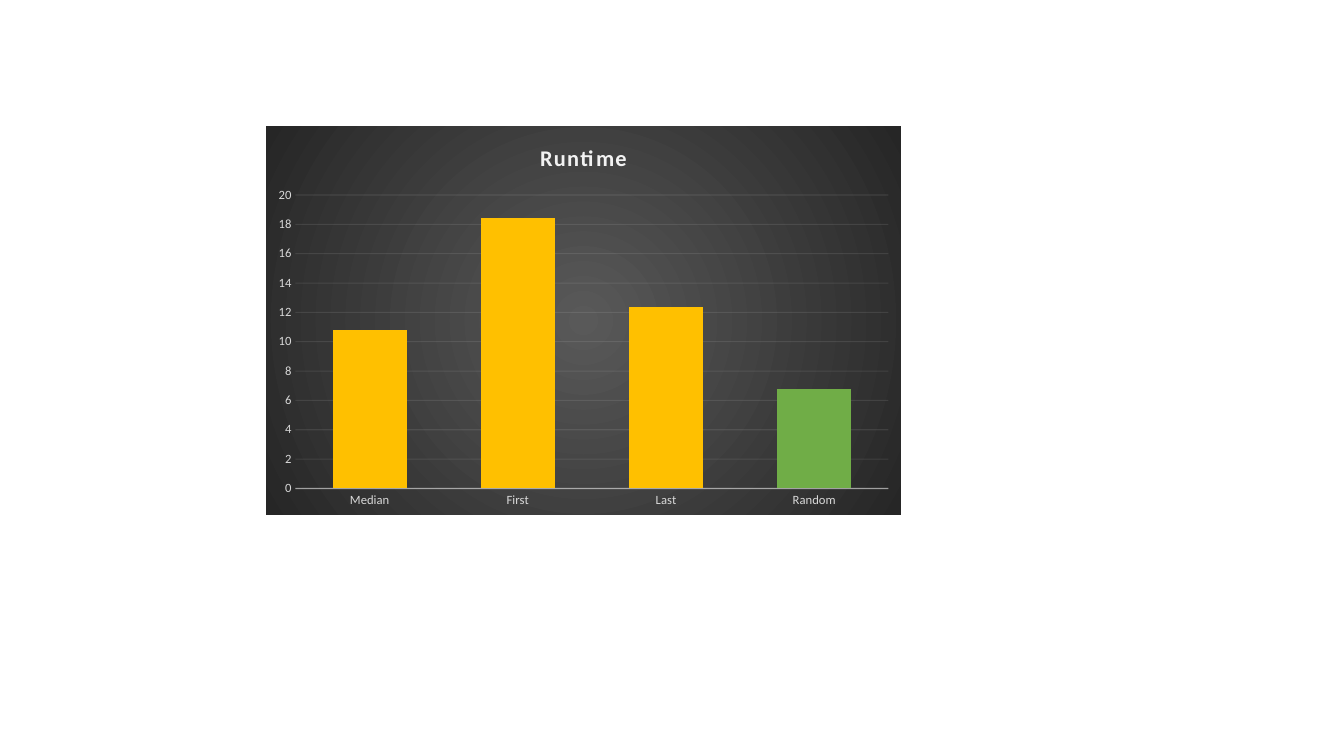
import pptx
import pptx.chart.data
import pptx.dml.color
import pptx.enum.chart
import pptx.oxml
import pptx.oxml.ns
import pptx.util

AMBER = pptx.dml.color.RGBColor(0xFF, 0xC0, 0x00)
GREEN = pptx.dml.color.RGBColor(0x70, 0xAD, 0x47)
LIGHT_BLUE = pptx.dml.color.RGBColor(0x71, 0xA6, 0xDB)
BLUE = pptx.dml.color.RGBColor(0x44, 0x8A, 0xCA)
PALE = pptx.dml.color.RGBColor(0xF2, 0xF2, 0xF2)
SILVER = pptx.dml.color.RGBColor(0xD9, 0xD9, 0xD9)
BLACK = pptx.dml.color.RGBColor(0x00, 0x00, 0x00)
GRAY = pptx.dml.color.RGBColor(0x59, 0x59, 0x59)
CHARCOAL = pptx.dml.color.RGBColor(0x26, 0x26, 0x26)

RUNTIMES = {"Median": 10.8, "First": 18.4, "Last": 12.4, "Random": 6.8}
BAR_COLORS = [AMBER, AMBER, AMBER, GREEN]


class SlideBuilder:
    scale = 914400 / 100.8
    font_name = "Calibri"

    def __init__(self, deck):
        deck.slide_width, deck.slide_height = self.emu(1344), self.emu(756)
        self.slide = deck.slides.add_slide(deck.slide_layouts[6])

    def emu(self, px):
        return pptx.util.Emu(round(px * self.scale))

    def apply(self, target, values):
        for name, value in values.items():
            setattr(target, name, value)

    def font(self, font, size, color, bold=False):
        self.apply(font, {"name": self.font_name, "size": pptx.util.Pt(size), "bold": bold})
        font.color.rgb = color

    def line(self, line, width, color, opacity):
        line.width = pptx.util.Pt(width)
        line.fill.solid()
        line.fill.fore_color.rgb = color
        node = line.fill._xPr.find(".//" + pptx.oxml.ns.qn("a:srgbClr"))
        alpha = pptx.oxml.parse_xml(
            f'<a:alpha {pptx.oxml.ns.nsdecls("a")} val="{opacity * 1000}"/>')
        node.append(alpha)

    def radial_background(self, chart, inner, outer):
        background = pptx.oxml.parse_xml(
            f'<c:spPr {pptx.oxml.ns.nsdecls("c", "a")}><a:gradFill><a:gsLst>'
            f'<a:gs pos="0"><a:srgbClr val="{inner}"/></a:gs>'
            f'<a:gs pos="100000"><a:srgbClr val="{outer}"/></a:gs></a:gsLst>'
            '<a:path path="circle"><a:fillToRect l="50000" t="50000" r="50000" b="50000"/>'
            '</a:path></a:gradFill><a:ln><a:noFill/></a:ln></c:spPr>')
        chart.element.find(pptx.oxml.ns.qn("c:txPr")).addprevious(background)

    def chart_title(self, chart, text):
        frame = chart.chart_title.text_frame
        chart.chart_title.include_in_layout = False
        span = frame.paragraphs[0].add_run()
        span.text = text
        self.font(span.font, 16, PALE, True)
        span.font._element.set("spc", "100")

    def axis(self, axis, values):
        self.apply(axis, values)
        axis.major_tick_mark = axis.minor_tick_mark = pptx.enum.chart.XL_TICK_MARK.NONE
        self.font(axis.tick_labels.font, 9, SILVER)

    def column_chart(self, title, values, colors, left, top, width, height):
        data = pptx.chart.data.CategoryChartData()
        data.categories = list(values)
        data.add_series(title, list(values.values()))
        chart = self.slide.shapes.add_chart(
            pptx.enum.chart.XL_CHART_TYPE.COLUMN_CLUSTERED,
            *map(self.emu, (left, top, width, height)), data).chart
        chart.has_legend = False
        self.font(chart.font, 10, BLACK)
        self.radial_background(chart, GRAY, CHARCOAL)
        self.chart_title(chart, title)

        self.axis(chart.category_axis, {"has_major_gridlines": False})
        self.line(chart.category_axis.format.line, 1, PALE, 54)
        self.axis(chart.value_axis, {"minimum_scale": 0, "maximum_scale": 20,
                                     "major_unit": 2, "has_major_gridlines": True})
        chart.value_axis.format.line.fill.background()
        self.line(chart.value_axis.major_gridlines.format.line, 0.75, PALE, 10)

        plot = chart.plots[0]
        self.apply(plot, {"gap_width": 100, "overlap": -24, "vary_by_categories": False})
        series = plot.series[0]
        fill = series.format.fill
        fill.gradient()
        fill.gradient_angle = 270
        for stop, color in zip(fill.gradient_stops, (LIGHT_BLUE, BLUE)):
            stop.color.rgb = color
        for index, color in enumerate(colors):
            bar = series.points[index].format.fill
            bar.solid()
            bar.fore_color.rgb = color


def main():
    deck = pptx.Presentation()
    builder = SlideBuilder(deck)
    builder.column_chart("Runtime", RUNTIMES, BAR_COLORS, 266, 126, 635, 389)
    deck.save("out.pptx")


if __name__ == "__main__":
    main()
